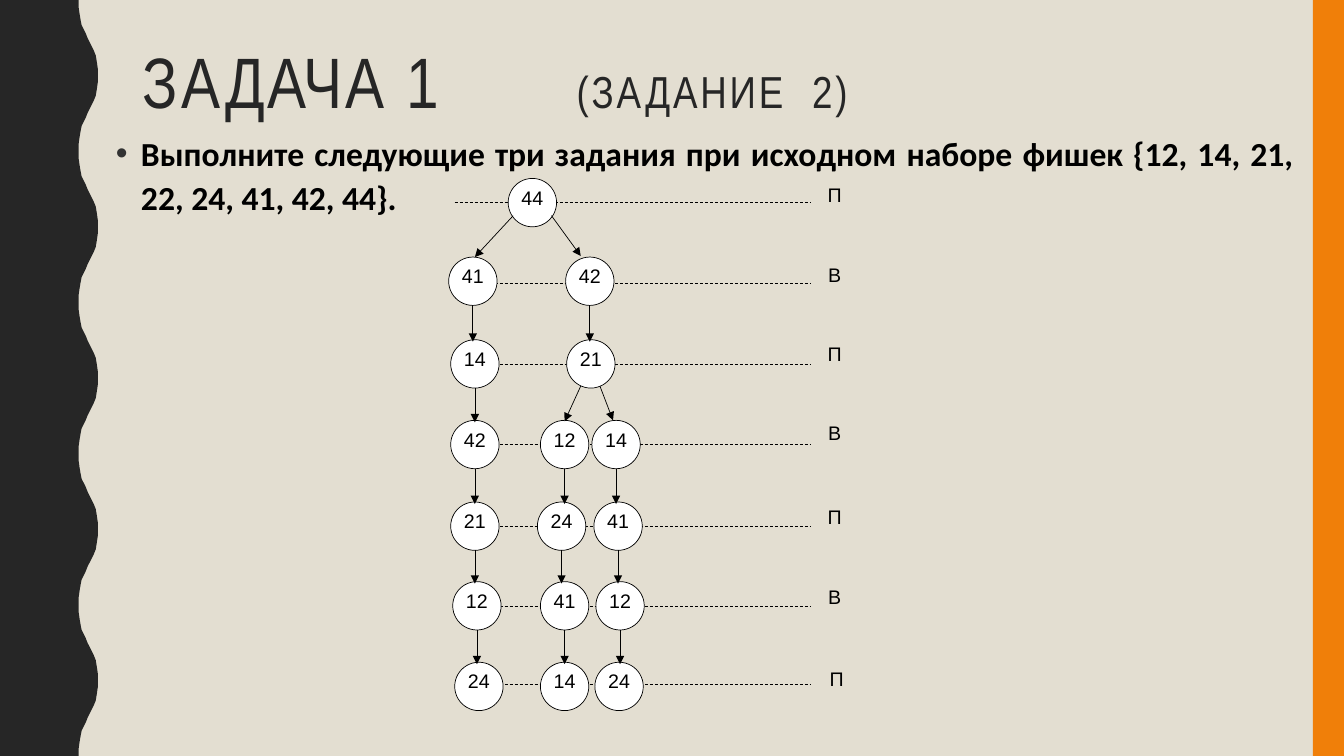
from dataclasses import dataclass

from lxml import etree
from pptx import Presentation
from pptx.dml.color import RGBColor
from pptx.enum.dml import MSO_LINE
from pptx.enum.shapes import MSO_CONNECTOR, MSO_SHAPE
from pptx.enum.text import MSO_ANCHOR, PP_ALIGN
from pptx.oxml.ns import qn
from pptx.util import Inches, Pt

RECT, OVAL = MSO_SHAPE.RECTANGLE, MSO_SHAPE.OVAL
STRAIGHT = MSO_CONNECTOR.STRAIGHT
DASH = MSO_LINE.DASH
TOP = MSO_ANCHOR.TOP
CENTER, JUSTIFY, LEFT = PP_ALIGN.CENTER, PP_ALIGN.JUSTIFY, PP_ALIGN.LEFT

COLORS = {"back": "E3DED1", "dark": "262626", "accent": "F07F09",
          "bullet": "323232", "ink": "000000", "node": "FFFFFF"}

TITLE_FONT = {"name": "Arial Narrow", "size": Pt(51)}
SUBTITLE_FONT = {"name": "Arial Narrow", "size": Pt(32)}
BODY_FONT = {"name": "Calibri", "size": Pt(24), "bold": True}
NODE_FONT = {"name": "Arial", "size": Pt(14)}

NODE = 0.48            # diameter of a tree node
GUIDE = (4.51, 8.04)   # left and right ends of the dashed guides

# Half a wave of the left band; the other half is its mirror image
WAVE = [(0.78, 0), (0.78, 0.07), (0.79, 0.14), (0.8, 0.2), (0.81, 0.25),
        (0.83, 0.29), (0.85, 0.33), (0.87, 0.38), (0.89, 0.42), (0.91, 0.46),
        (0.93, 0.5), (0.95, 0.55), (0.96, 0.61), (0.97, 0.68), (0.97, 0.75)]
PERIOD = 1.5


@dataclass
class Level:
    """One move of the game: its nodes as (left, value), guide and player."""
    top: float
    guide: float
    label_top: float
    player: str
    nodes: list[tuple[float, str]]
    label_left: float = 8.05


@dataclass
class Arrow:
    x1: float
    y1: float
    x2: float
    y2: float


LEVELS = [
    Level(1.77, 2.01, 1.77, "П", [(5.04, "44")]),
    Level(2.55, 2.81, 2.56, "В", [(4.45, "41"), (5.61, "42")]),
    Level(3.37, 3.61, 3.34, "П", [(4.47, "14"), (5.62, "21")]),
    Level(4.17, 4.41, 4.13, "В", [(4.47, "42"), (5.36, "12"), (5.87, "14")]),
    Level(4.98, 5.22, 4.96, "П", [(4.47, "21"), (5.33, "24"), (5.89, "41")]),
    Level(5.77, 6.02, 5.75, "В", [(4.49, "12"), (5.36, "41"), (5.91, "12")]),
    Level(6.57, 6.79, 6.57, "П", [(4.51, "24"), (5.36, "14"), (5.9, "24")], 8.07),
]

# Arrows leaving the nodes that branch: 44 and 21
BRANCHES = [Arrow(5.09, 2.14, 4.71, 2.55), Arrow(5.47, 2.14, 5.76, 2.54),
            Arrow(5.76, 3.83, 5.6, 4.18), Arrow(5.95, 3.83, 6.08, 4.17)]


def rgb(name: str) -> RGBColor:
    return RGBColor.from_string(COLORS[name])


def paint(sp, fill: str, line: str | None = None) -> None:
    sp.shadow.inherit = False
    sp.fill.solid()
    sp.fill.fore_color.rgb = rgb(fill)
    if line:
        sp.line.color.rgb = rgb(line)
        sp.line.width = Pt(0.5)
    else:
        sp.line.fill.background()


def set_frame(tf, **values) -> None:
    for name, value in values.items():
        setattr(tf, name, value)


def add_run(p, text: str, font: dict, color: str = "ink"):
    r = p.add_run()
    r.text = text
    for name, value in font.items():
        setattr(r.font, name, value)
    r.font.color.rgb = rgb(color)
    return r


def add_text(shapes, left: float, top: float, width: float, height: float, align):
    sp = shapes.add_textbox(*map(Inches, (left, top, width, height)))
    set_frame(sp.text_frame, word_wrap=True, vertical_anchor=TOP)
    p = sp.text_frame.paragraphs[0]
    p.alignment = align
    return sp, p


def add_line(shapes, a: Arrow, arrow: bool = True) -> None:
    cxn = shapes.add_connector(STRAIGHT, *map(Inches, (a.x1, a.y1, a.x2, a.y2)))
    cxn.line.color.rgb = rgb("ink")
    cxn.line.width = Pt(0.5)
    if arrow:
        etree.SubElement(cxn.line._get_or_add_ln(), qn("a:tailEnd"), type="triangle")
    else:
        cxn.line.dash_style = DASH
    etree.SubElement(cxn._element.spPr, qn("a:effectLst"))


def add_node(shapes, left: float, top: float, value: str) -> None:
    sp = shapes.add_shape(OVAL, *map(Inches, (left, top, NODE, NODE)))
    paint(sp, "node", "ink")
    tf = sp.text_frame
    set_frame(tf, word_wrap=False, vertical_anchor=TOP, margin_left=0,
              margin_right=0, margin_top=0, margin_bottom=0)
    p = tf.paragraphs[0]
    p.alignment = CENTER
    add_run(p, value, NODE_FONT)


def add_label(shapes, level: Level) -> None:
    sp, p = add_text(shapes, level.label_left, level.label_top, 0.46, NODE, CENTER)
    set_frame(sp.text_frame, margin_left=0, margin_right=0)
    add_run(p, level.player, NODE_FONT)


def add_bands(shapes) -> None:
    half = WAVE + [(x, PERIOD - y) for x, y in reversed(WAVE[:-1])]
    edge = [(x, y + PERIOD * i) for i in range(5) for x, y in half]
    outline = [(Inches(x), Inches(y)) for x, y in edge + [(0, 7.5)]]
    builder = shapes.build_freeform(0, 0)
    builder.add_line_segments(outline, close=True)
    paint(builder.convert_to_shape(), "dark")
    paint(shapes.add_shape(RECT, *map(Inches, (13.02, 0, 0.31, 7.5))), "accent")


def add_title(shapes) -> None:
    _, p = add_text(shapes, 1.32, 0.42, 11.13, 1.63, LEFT)
    p.line_spacing = 0.9
    tabs = etree.SubElement(p._p.get_or_add_pPr(), qn("a:tabLst"))
    etree.SubElement(tabs, qn("a:tab"), pos=str(Inches(4.3)), algn="l")
    for text, font in (("ЗАДАЧА 1\t", TITLE_FONT), ("(ЗАДАНИЕ  2)", SUBTITLE_FONT)):
        r = add_run(p, text, font, "dark")
        r._r.get_or_add_rPr().set("spc", "200")


def add_body(shapes) -> None:
    _, p = add_text(shapes, 1.05, 1.23, 11.88, 5.96, JUSTIFY)
    p.line_spacing = 1.1
    p.space_before = Pt(7)
    pPr = p._p.get_or_add_pPr()
    pPr.set("marL", str(Inches(0.25)))
    pPr.set("indent", str(-Inches(0.25)))
    color = etree.SubElement(pPr, qn("a:buClr"))
    etree.SubElement(color, qn("a:srgbClr"), val=COLORS["bullet"])
    etree.SubElement(pPr, qn("a:buFont"), typeface="Arial")
    etree.SubElement(pPr, qn("a:buChar"), char="•")
    add_run(p, "Выполните следующие три задания при исходном наборе фишек "
               "{12, 14, 21, 22, 24, 41, 42, 44}.", BODY_FONT)


def add_tree(shapes) -> None:
    # Guides lie behind the nodes
    for level in LEVELS:
        add_line(shapes, Arrow(GUIDE[0], level.guide, GUIDE[1], level.guide), arrow=False)
    for level in LEVELS:
        add_label(shapes, level)
        for left, value in level.nodes:
            add_node(shapes, left, level.top, value)
    # Straight moves down, then the branches
    for level, below in zip(LEVELS[1:], LEVELS[2:]):
        for left, value in level.nodes:
            if (level.top, value) != (3.37, "21"):
                x = left + NODE / 2
                add_line(shapes, Arrow(x, level.top + NODE, x, below.top + 0.02))
    for branch in BRANCHES:
        add_line(shapes, branch)


def main() -> None:
    prs = Presentation()
    prs.slide_width, prs.slide_height = Inches(13.33), Inches(7.5)
    slide = prs.slides.add_slide(prs.slide_layouts[6])
    slide.background.fill.solid()
    slide.background.fill.fore_color.rgb = rgb("back")
    add_bands(slide.shapes)
    add_title(slide.shapes)
    add_body(slide.shapes)
    add_tree(slide.shapes.add_group_shape().shapes)
    prs.save("out.pptx")


if __name__ == "__main__":
    main()
